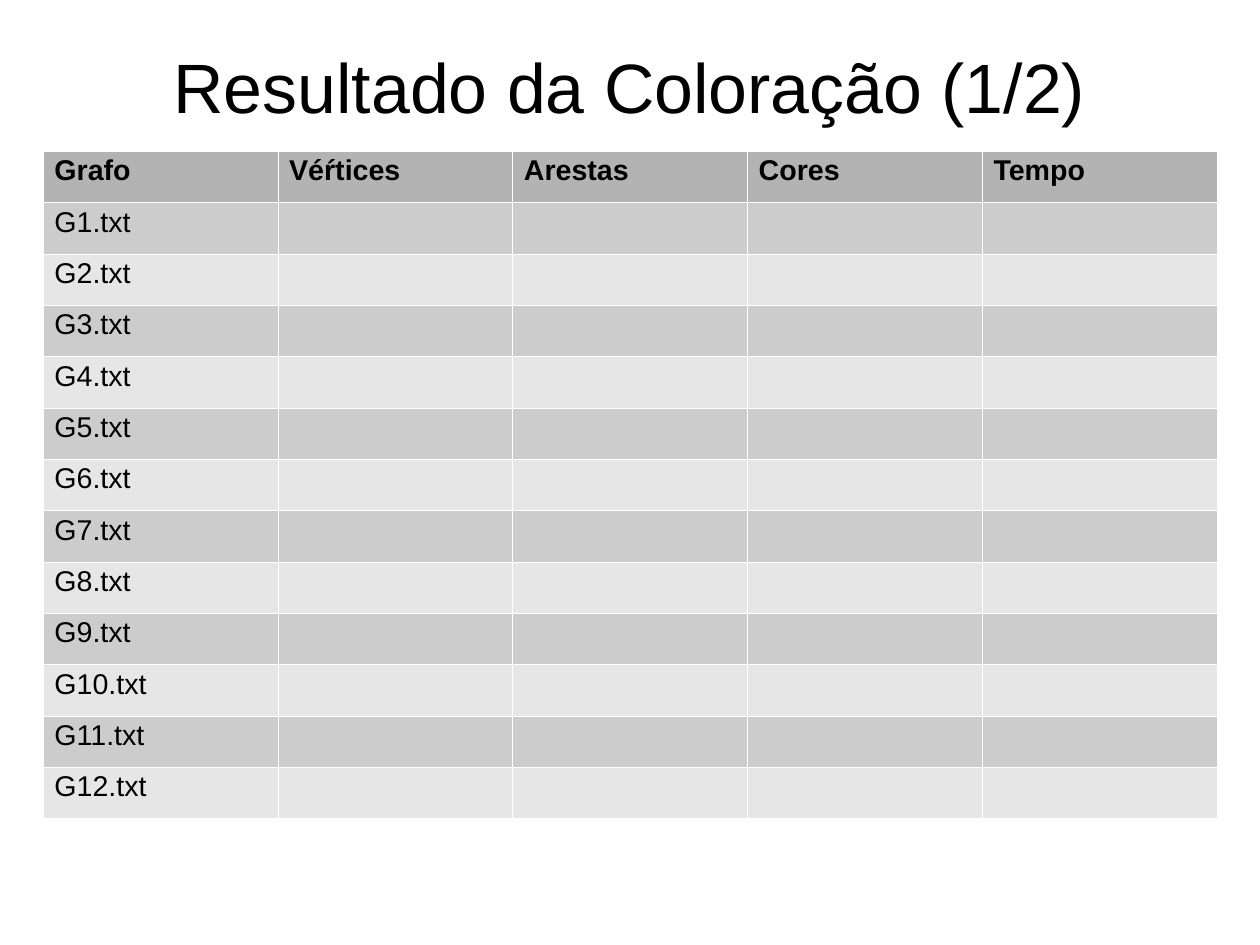
from pptx import Presentation
from pptx.dml.color import RGBColor
from pptx.enum.text import MSO_ANCHOR as Anchor, MSO_AUTO_SIZE as AutoSize, PP_ALIGN as Align
from pptx.oxml.ns import qn
from pptx.util import Pt
from lxml.etree import SubElement

EMU_PER_PX = 8000
SLIDE_WIDTH, SLIDE_HEIGHT = 1260, 945


def px(length):
    """Turn pixels into EMU."""
    return round(length * EMU_PER_PX)


def color(hex_code):
    """Turn a hex string into a colour."""
    return RGBColor.from_string(hex_code)


class SlideBuilder:
    """Hold the style and the current slide."""

    FONT = "Arial"
    TEXT = "000000"
    HEADER = "B3B3B3"
    BANDS = ("CCCCCC", "E6E6E6")
    BORDER = "FFFFFF"
    BORDER_WIDTH = Pt(0.06)
    LINE_SPACING = 0.94

    def __init__(self, slide):
        self.slide = slide

    def style(self, paragraph, size, bold=False, align=Align.LEFT):
        """Format one paragraph."""
        paragraph.alignment = align
        paragraph.line_spacing = self.LINE_SPACING
        font = paragraph.font
        font.name, font.size, font.bold = self.FONT, Pt(size), bold
        font.color.rgb = color(self.TEXT)

    def title(self, text, left, top, width, height):
        """Place and fill the title placeholder."""
        heading = self.slide.shapes.title
        heading.left, heading.top = px(left), px(top)
        heading.width, heading.height = px(width), px(height)
        frame = heading.text_frame
        frame.text = text
        frame.auto_size = AutoSize.NONE
        frame.vertical_anchor = Anchor.MIDDLE
        frame.margin_left = frame.margin_right = frame.margin_bottom = 0
        frame.margin_top = px(5)
        self.style(frame.paragraphs[0], 44, align=Align.CENTER)

    def border(self, cell):
        """Draw a thin line on all four sides of a cell."""
        properties = cell._tc.get_or_add_tcPr()
        for side in ("a:lnL", "a:lnR", "a:lnT", "a:lnB"):
            line = SubElement(properties, qn(side), w=str(self.BORDER_WIDTH))
            fill = SubElement(line, qn("a:solidFill"))
            SubElement(fill, qn("a:srgbClr"), val=self.BORDER)

    def table(self, header, rows, left, top, width, height):
        """Add a banded table with equal rows and columns."""
        grid = self.slide.shapes.add_table(
            len(rows) + 1, len(header), px(left), px(top), px(width), px(height)
        ).table
        for index, values in enumerate([header, *rows]):
            is_header = index == 0
            fill = self.HEADER if is_header else self.BANDS[(index - 1) % 2]
            for cell, value in zip(grid.rows[index].cells, values):
                cell.text = value
                self.style(cell.text_frame.paragraphs[0], 18, bold=is_header)
                self.border(cell)
                cell.fill.solid()
                cell.fill.fore_color.rgb = color(fill)


presentation = Presentation()
presentation.slide_width, presentation.slide_height = px(SLIDE_WIDTH), px(SLIDE_HEIGHT)
title_only = presentation.slide_layouts[5]
results = SlideBuilder(presentation.slides.add_slide(title_only))

results.title("Resultado da Coloração (1/2)", 63, 38, 1134, 99)

measures = ["Grafo", "Véŕtices", "Arestas", "Cores", "Tempo"]
graphs = [[f"G{number}.txt", "", "", "", ""] for number in range(1, 13)]
results.table(measures, graphs, 43, 151, 1174, 668)

presentation.save("out.pptx")
